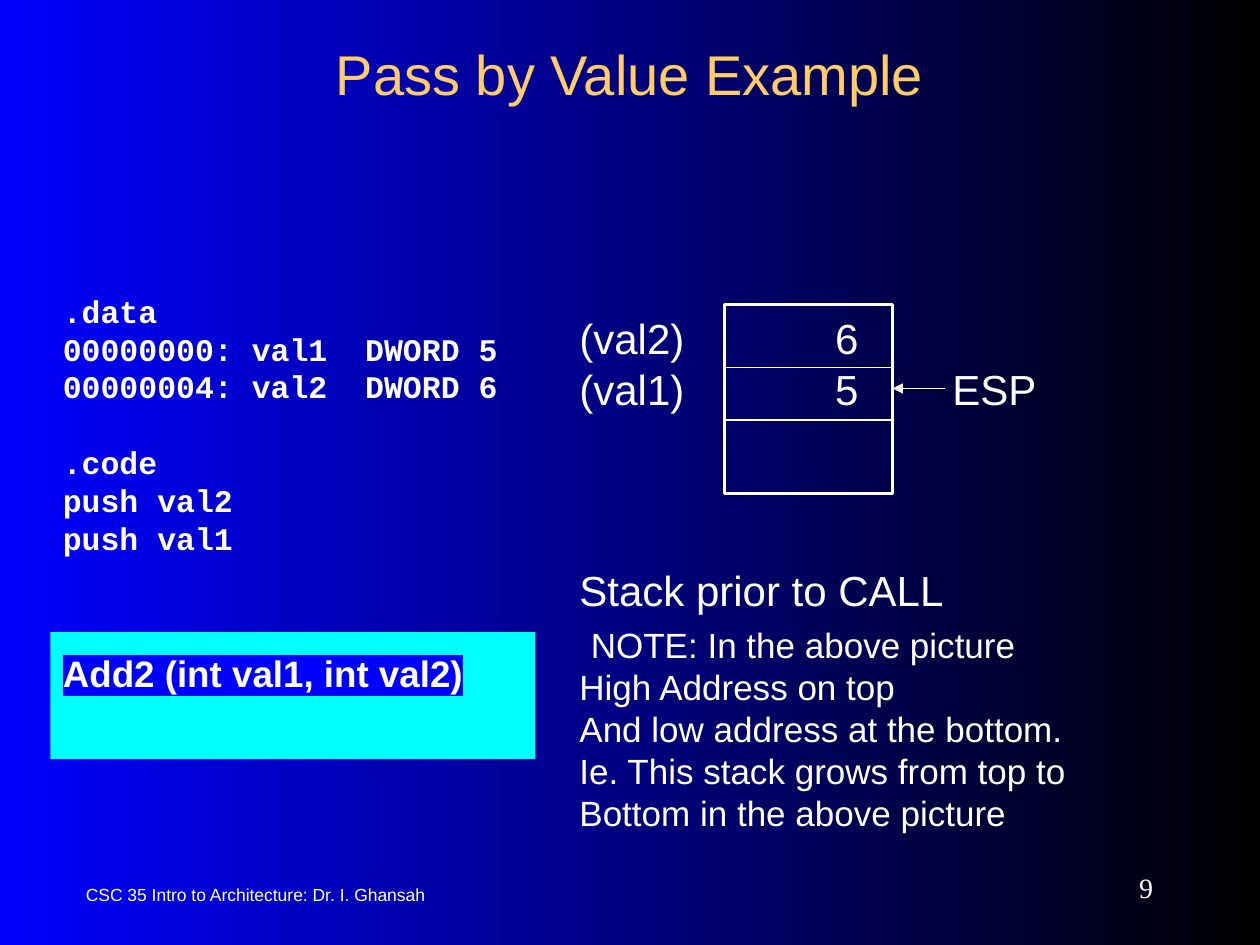
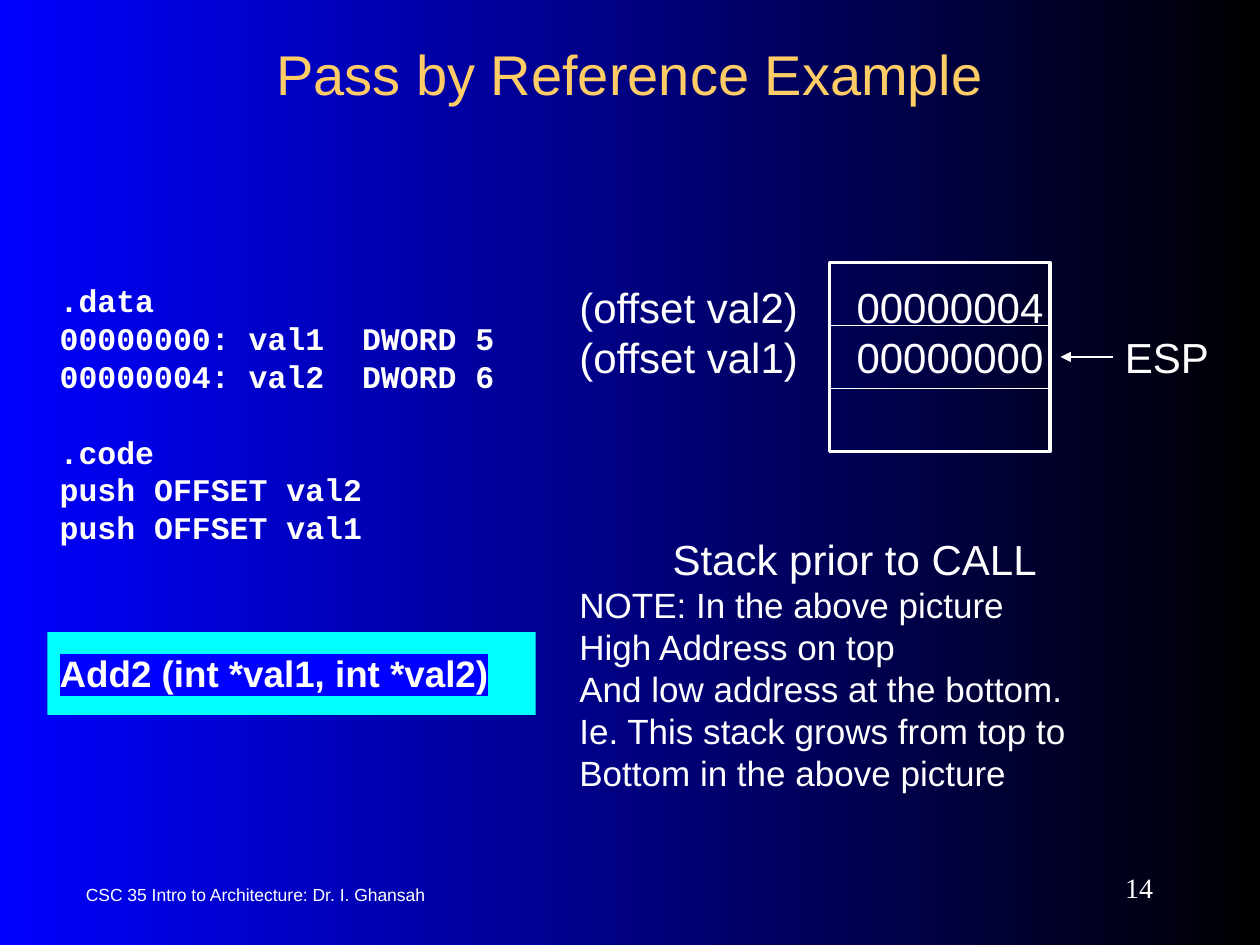
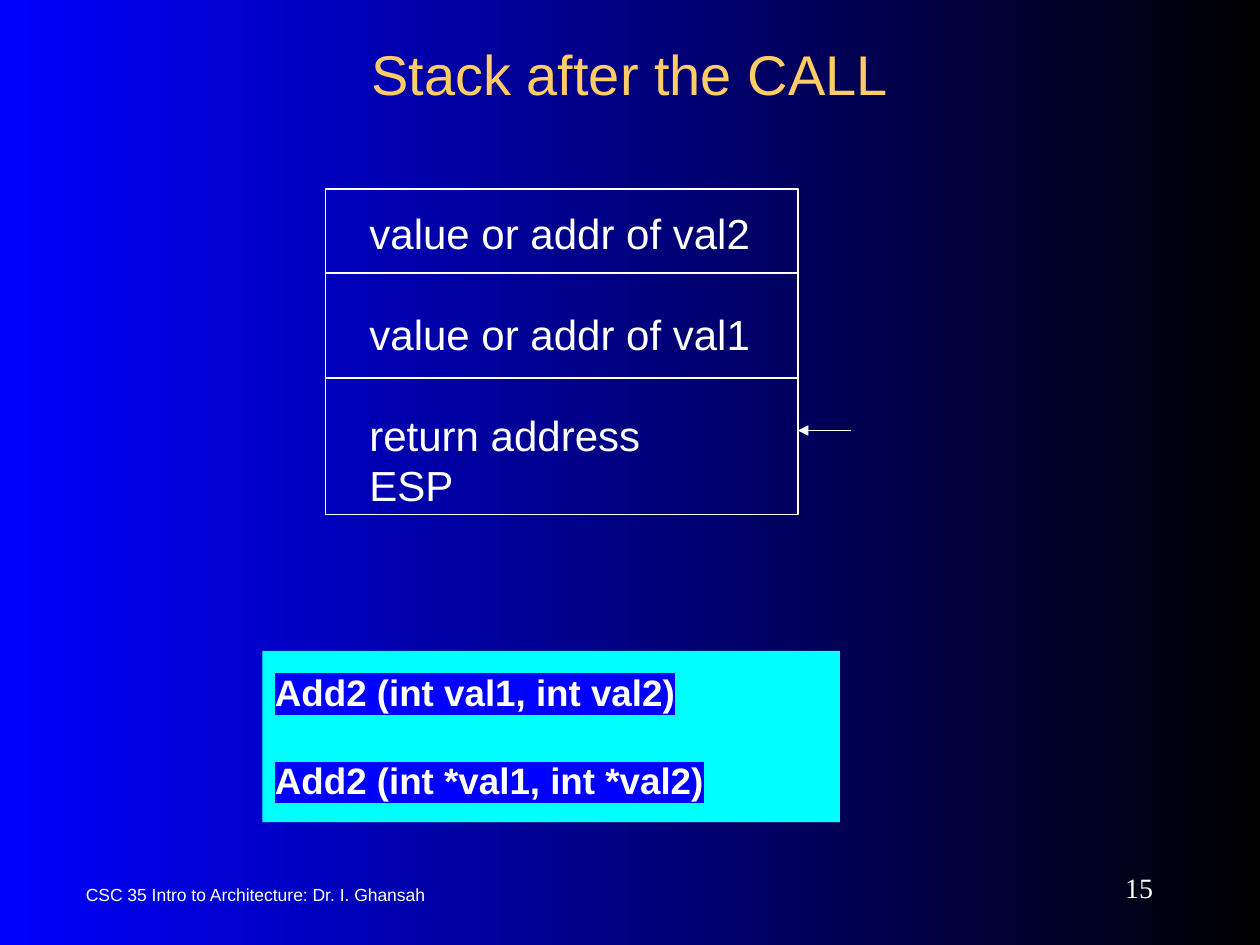
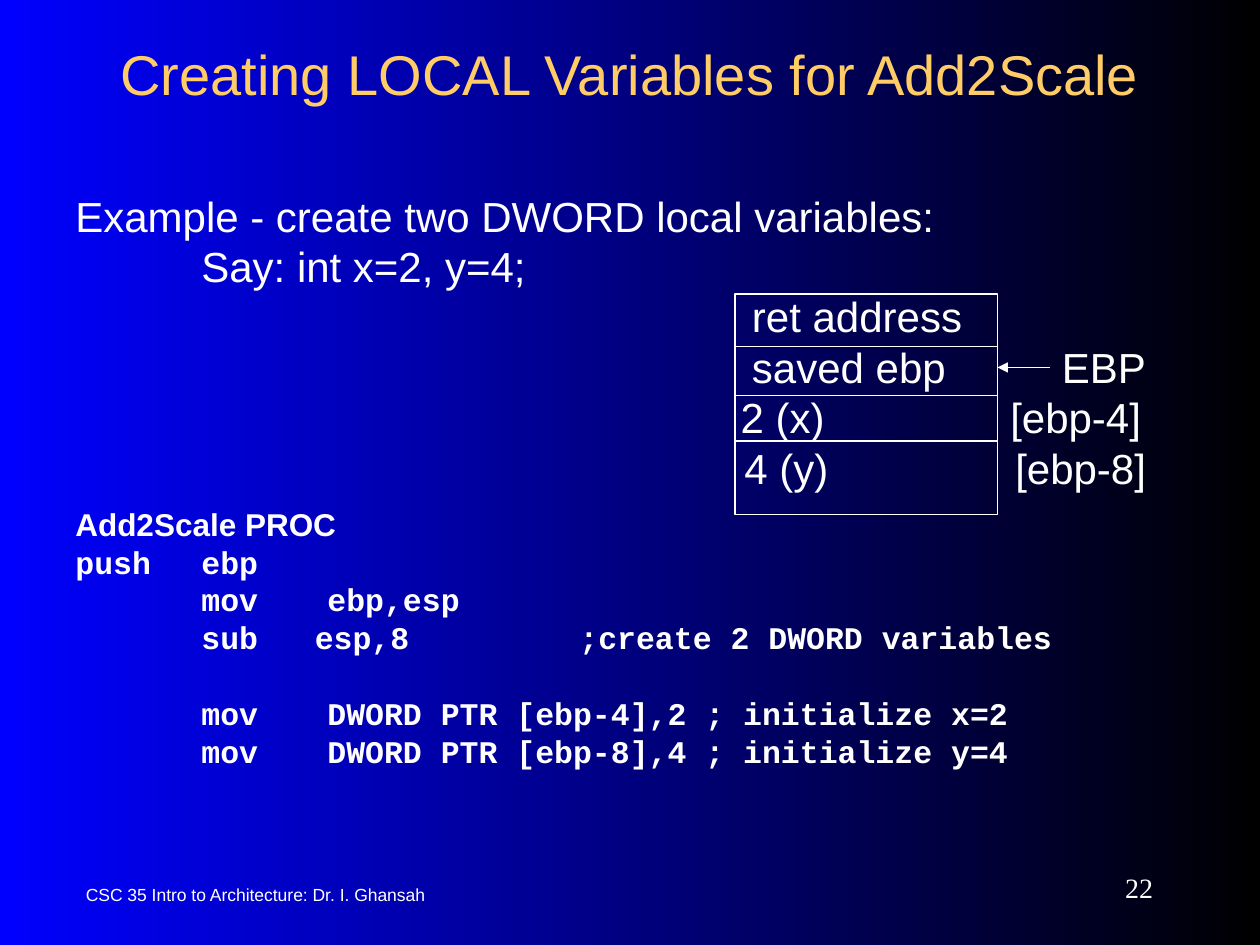
from dataclasses import dataclass, replace
from typing import NamedTuple

from lxml.etree import SubElement
from pptx import Presentation
from pptx.dml.color import RGBColor
from pptx.enum.shapes import MSO_CONNECTOR, MSO_SHAPE
from pptx.enum.text import MSO_ANCHOR, PP_ALIGN
from pptx.oxml.ns import qn
from pptx.presentation import Presentation as Deck
from pptx.shapes.base import BaseShape
from pptx.slide import Slide
from pptx.text.text import TextFrame, _Paragraph
from pptx.util import Inches, Length, Pt

GRID_PER_INCH = 12  # the slide is 120 columns by 90 rows


@dataclass(frozen=True)
class TextStyle:
    font: str
    size: float
    color: str
    bold: bool = False
    highlight: str = ""


@dataclass(frozen=True)
class Theme:
    start: str = "0000FF"
    end: str = "000000"
    ink: str = "FFFFFF"
    panel: str = "00FFFF"
    line_height: float = 1.2
    thin: float = 0.75
    title: TextStyle = TextStyle("Arial", 32, "FFCC66")
    body: TextStyle = TextStyle("Arial", 24, "FFFFFF")
    note: TextStyle = TextStyle("Arial", 20, "FFFFFF")
    prototype: TextStyle = TextStyle("Arial", 21, "FFFFFF", True, "0000FF")
    procedure: TextStyle = TextStyle("Arial", 18, "FFFFFF", True)
    code: TextStyle = TextStyle("Courier New", 18, "FFFFFF", True)
    footer: TextStyle = TextStyle("Arial", 10, "FFFFFF")
    number: TextStyle = TextStyle("Times New Roman", 16, "FFFFFF")


THEME = Theme()


class Area(NamedTuple):
    column: float
    row: float
    columns: float
    rows: float


@dataclass(frozen=True)
class Line:
    """One paragraph; gap counts lines of space before it, tabs and indent are inches."""
    text: str
    style: TextStyle = THEME.body
    gap: float = 0
    indent: float = 0
    tabs: tuple[float, ...] = ()
    align: PP_ALIGN = PP_ALIGN.LEFT


@dataclass(frozen=True)
class TextBlock:
    area: Area
    lines: list[Line]


@dataclass(frozen=True)
class Stack:
    """A framed stack with divider rows and an arrow from the right at arrow_row."""
    area: Area
    dividers: tuple[float, ...]
    arrow_row: float
    arrow_gap: float = 0
    border: float = 2


@dataclass(frozen=True)
class Page:
    title: str
    number: int
    stack: Stack
    texts: list[TextBlock]
    callout: TextBlock | None = None


FOOTER_AREA = Area(7, 83.2, 55, 4)
NUMBER_AREA = Area(98, 82, 13, 5)
TITLE_AREA = Area(9, 3, 102, 8)
ARROW_COLUMNS = 5


def grid(units: float) -> Length:
    return Inches(units / GRID_PER_INCH)


def color(value: str) -> RGBColor:
    return RGBColor.from_string(value)


def add_text_run(paragraph: _Paragraph, text: str, style: TextStyle) -> None:
    run = paragraph.add_run()
    run.text = text
    font = run.font
    font.name, font.size, font.bold = style.font, Pt(style.size), style.bold
    font.color.rgb = color(style.color)
    if style.highlight:
        properties = run._r.get_or_add_rPr()
        highlight = SubElement(properties, qn("a:highlight"))
        SubElement(highlight, qn("a:srgbClr"), val=style.highlight)
        properties.find(qn("a:solidFill")).addnext(highlight)


def fill_text(frame: TextFrame, lines: list[Line], inset: float,
              anchor: MSO_ANCHOR = MSO_ANCHOR.TOP) -> None:
    frame.word_wrap = True
    frame.vertical_anchor = anchor
    frame.margin_left = frame.margin_right = Inches(0.1)
    frame.margin_top = frame.margin_bottom = Inches(inset)
    for index, line in enumerate(lines):
        paragraph = frame.add_paragraph() if index else frame.paragraphs[0]
        height = line.style.size * THEME.line_height
        paragraph.alignment = line.align
        paragraph.line_spacing = Pt(height)
        paragraph.space_before = Pt(height * line.gap)
        properties = paragraph._p.get_or_add_pPr()
        if line.indent:
            properties.set("marL", str(Inches(line.indent)))
        if line.tabs:
            tab_list = SubElement(properties, qn("a:tabLst"))
            for stop in line.tabs:
                SubElement(tab_list, qn("a:tab"), pos=str(Inches(stop)), algn="l")
        add_text_run(paragraph, line.text, line.style)


def add_text(slide: Slide, block: TextBlock, inset: float = 0.15,
             anchor: MSO_ANCHOR = MSO_ANCHOR.TOP) -> None:
    box = slide.shapes.add_textbox(*map(grid, block.area))
    fill_text(box.text_frame, block.lines, inset, anchor)


def add_rectangle(slide: Slide, area: Area) -> BaseShape:
    shape = slide.shapes.add_shape(MSO_SHAPE.RECTANGLE, *map(grid, area))
    shape.shadow.inherit = False
    return shape


def add_rule(slide: Slide, start: float, end: float, row: float, arrow: bool = False) -> None:
    connector = slide.shapes.add_connector(
        MSO_CONNECTOR.STRAIGHT, grid(start), grid(row), grid(end), grid(row))
    connector.line.color.rgb = color(THEME.ink)
    connector.line.width = Pt(THEME.thin)
    properties = connector.element.spPr
    if arrow:
        SubElement(properties.find(qn("a:ln")), qn("a:tailEnd"), type="triangle")
    SubElement(properties, qn("a:effectLst"))


def add_stack(slide: Slide, stack: Stack) -> None:
    frame = add_rectangle(slide, stack.area)
    frame.fill.background()
    frame.line.color.rgb = color(THEME.ink)
    frame.line.width = Pt(stack.border)
    left, right = stack.area.column, stack.area.column + stack.area.columns
    for row in stack.dividers:
        add_rule(slide, left, right, row)
    tip = right + stack.arrow_gap
    add_rule(slide, tip + ARROW_COLUMNS, tip, stack.arrow_row, arrow=True)


def add_callout(slide: Slide, block: TextBlock) -> None:
    panel = add_rectangle(slide, block.area)
    panel.fill.solid()
    panel.fill.fore_color.rgb = color(THEME.panel)
    panel.line.fill.background()
    fill_text(panel.text_frame, block.lines, 0.15)


def add_frame(slide: Slide, page: Page) -> None:
    """Draw what all slides share: background, footer, number and title."""
    fill = slide.background.fill
    fill.gradient()
    fill.gradient_angle = 0
    for stop, value in zip(fill.gradient_stops, (THEME.start, THEME.end)):
        stop.color.rgb = color(value)
    for area, line in (
        (FOOTER_AREA, Line("CSC 35 Intro to Architecture: Dr. I. Ghansah", THEME.footer)),
        (NUMBER_AREA, Line(str(page.number), THEME.number, align=PP_ALIGN.RIGHT)),
        (TITLE_AREA, Line(page.title, THEME.title, align=PP_ALIGN.CENTER)),
    ):
        add_text(slide, TextBlock(area, [line]), 0.05, MSO_ANCHOR.MIDDLE)


def add_page(presentation: Deck, page: Page) -> None:
    slide = presentation.slides.add_slide(presentation.slide_layouts[6])
    add_frame(slide, page)
    for block in page.texts:
        add_text(slide, block)
    add_stack(slide, page.stack)
    if page.callout:
        add_callout(slide, page.callout)


def code_lines(*pushes: str) -> list[Line]:
    """The data segment, then a code segment with the given instructions."""
    data = Line("", THEME.code, tabs=(2.4,))
    return [
        Line(".data", THEME.code),
        replace(data, text="00000000: val1\tDWORD 5"),
        replace(data, text="00000004: val2\tDWORD 6"),
        Line(".code", THEME.code, gap=1),
        *(Line(push, THEME.code) for push in pushes),
    ]


def note_lines(gap: float = 0, indent: float = 0) -> list[Line]:
    first = Line("NOTE: In the above picture", THEME.note, gap, indent)
    rest = ("High Address on top", "And low address at the bottom.",
            "Ie. This stack grows from top to", "Bottom in the above picture")
    return [first, *(Line(text, THEME.note) for text in rest)]


BY_VALUE = Line("Add2 (int val1, int val2)", THEME.prototype)
BY_REFERENCE = Line("Add2 (int *val1, int *val2)", THEME.prototype)
VALUE_TABS = (2.03, 2.96)
OFFSET_TABS = (2.2, 4.33)
REGISTER_TABS = (5.37, 7.83)
CODE_TABS = (1, 2, 4)

PAGES = [
    Page(
        "Pass by Value Example", 9,
        Stack(Area(69, 29, 16, 18), (35, 40), 37),
        [
            TextBlock(Area(4.8, 26, 55, 32.8), code_lines("push val2", "push val1")),
            TextBlock(Area(54, 28, 50, 53.8), [
                Line("(val2)\t6", tabs=VALUE_TABS),
                Line("(val1)\t5\tESP", tabs=VALUE_TABS),
                Line("Stack prior to CALL", gap=3),
                *note_lines(gap=0.2, indent=0.09),
            ]),
        ],
        TextBlock(Area(4.8, 60.2, 46.2, 12.1), [BY_VALUE]),
    ),
    Page(
        "Pass by Reference Example", 14,
        Stack(Area(79, 25, 21, 18), (31, 37), 34, arrow_gap=1),
        [
            TextBlock(Area(4.5, 25, 49.5, 32.8),
                      code_lines("push OFFSET val2", "push OFFSET val1")),
            TextBlock(Area(54, 25, 62.9, 57.7), [
                Line("(offset val2)\t00000004", tabs=OFFSET_TABS),
                Line("(offset val1)\t00000000\tESP", tabs=OFFSET_TABS),
                Line("Stack prior to CALL", gap=3, indent=0.74),
                *note_lines(),
            ]),
        ],
        TextBlock(Area(4.5, 60.2, 46.5, 7.9), [BY_REFERENCE]),
    ),
    Page(
        "Stack after the CALL", 15,
        Stack(Area(31, 18, 45, 31), (26, 36), 41, border=THEME.thin),
        [TextBlock(Area(34, 18, 57.2, 27.6), [
            Line("value or addr of val2"),
            Line("value or addr of val1", gap=1),
            Line("return address", gap=1),
            Line("ESP"),
        ])],
        TextBlock(Area(25, 62, 55, 16.3), [BY_VALUE, replace(BY_REFERENCE, gap=1)]),
    ),
    Page(
        "Creating LOCAL Variables for Add2Scale", 22,
        Stack(Area(70, 28, 25, 21), (33, 37.7, 42), 35, border=1),
        [TextBlock(Area(6, 16.3, 109, 59.4), [
            Line("Example - create two DWORD local variables:"),
            Line("Say: int x=2, y=4;", indent=1),
            Line("\tret address", tabs=REGISTER_TABS),
            Line("\tsaved ebp\tEBP", tabs=REGISTER_TABS),
            Line("\t2 (x)\t[ebp-4]", tabs=(5.28, 7.42)),
            Line("\t4 (y)\t[ebp-8]", tabs=(5.31, 7.46)),
            Line("Add2Scale PROC", THEME.procedure, gap=0.33),
            Line("push\tebp", THEME.code, tabs=CODE_TABS),
            Line("\tmov\tebp,esp", THEME.code, tabs=CODE_TABS),
            Line("\tsub\tesp,8\t;create 2 DWORD variables", THEME.code, tabs=(1, 1.9, 4)),
            Line("\tmov\tDWORD PTR [ebp-4],2 ; initialize x=2", THEME.code, 1, tabs=CODE_TABS),
            Line("\tmov\tDWORD PTR [ebp-8],4 ; initialize y=4", THEME.code, tabs=CODE_TABS),
        ])],
    ),
]


def main() -> None:
    presentation = Presentation()
    presentation.slide_width, presentation.slide_height = grid(120), grid(90)
    for page in PAGES:
        add_page(presentation, page)
    presentation.save("out.pptx")


if __name__ == "__main__":
    main()
